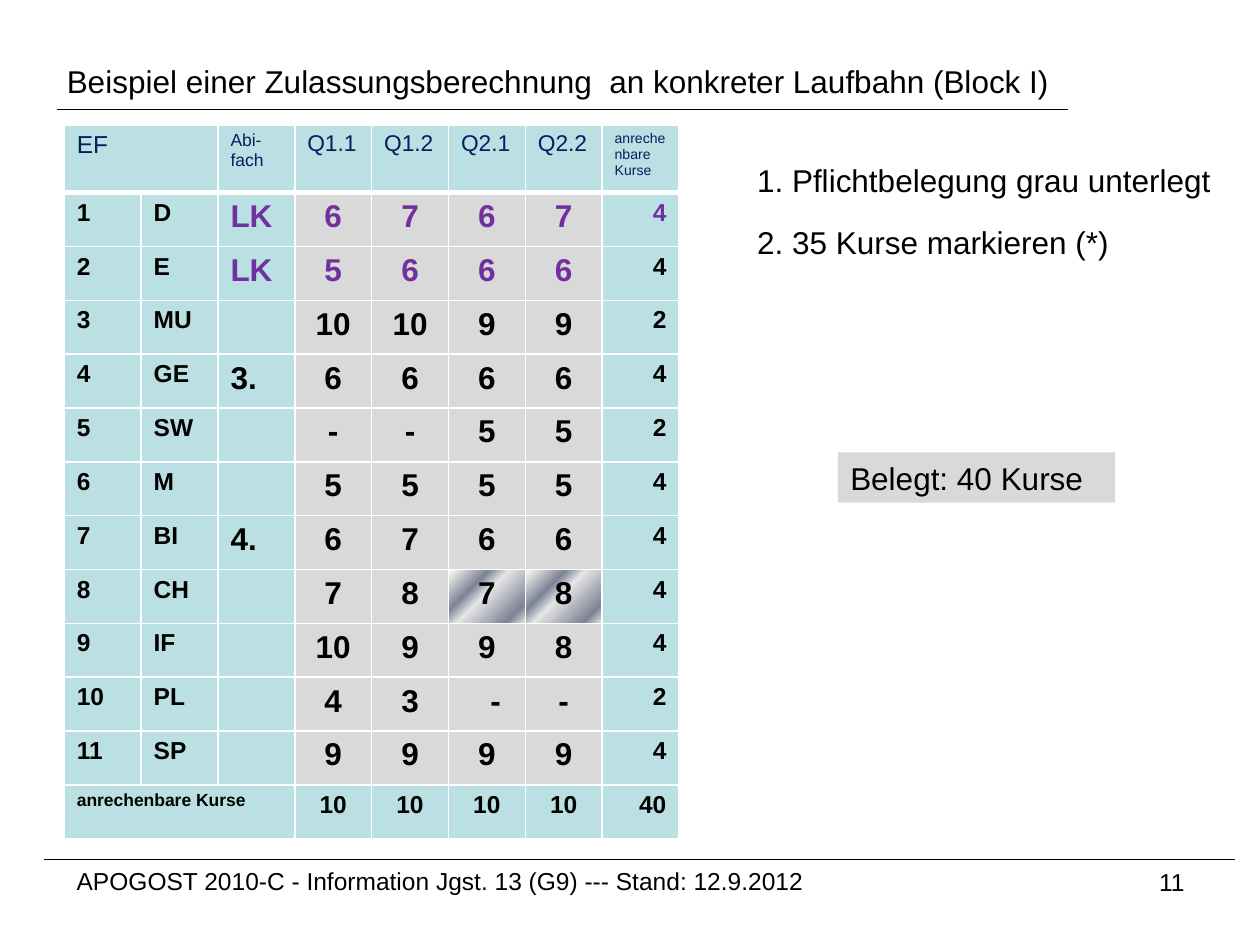
from lxml import etree
from pptx import Presentation
from pptx import util as u
from pptx.dml.color import RGBColor
from pptx.enum import shapes, text
from pptx.oxml import parse_xml
from pptx.oxml.ns import nsdecls, qn

BLACK, NAVY, PURPLE = "000000", "002060", "7030A0"
TEAL, GREY, WHITE = "BBE0E3", "D9D9D9", "FFFFFF"
LEFT, CENTER, RIGHT = text.PP_ALIGN.LEFT, text.PP_ALIGN.CENTER, text.PP_ALIGN.RIGHT


def color(hex_string):
    return RGBColor.from_string(hex_string)


def write(frame, words, size, hex_string=BLACK, align=LEFT, bold=False):
    paragraph = frame.paragraphs[0]
    paragraph.alignment = align
    run = paragraph.add_run()
    run.text = words
    run.font.name = "Arial"
    run.font.size = u.Pt(size)
    run.font.bold = bold
    run.font.color.rgb = color(hex_string)


presentation = Presentation()
presentation.slide_width, presentation.slide_height = u.Inches(10), u.Inches(7.5)
slide = presentation.slides.add_slide(presentation.slide_layouts[5])

# Title
title = slide.shapes.title
title.left, title.top = u.Inches(0.43), u.Inches(0.44)
title.width, title.height = u.Inches(8), u.Inches(0.4)
title.text_frame.word_wrap = False
title.text_frame.auto_size = text.MSO_AUTO_SIZE.NONE
title.text_frame.vertical_anchor = text.MSO_ANCHOR.TOP
write(title.text_frame,
      "Beispiel einer Zulassungsberechnung  an konkreter Laufbahn (Block I)", 18)

# Rules under the title and above the footer
for start, end, y in [(0.45, 8.48, 0.87), (0.35, 9.8, 6.82)]:
    rule = slide.shapes.add_connector(
        shapes.MSO_CONNECTOR.STRAIGHT,
        u.Inches(start), u.Inches(y), u.Inches(end), u.Inches(y))
    rule.line.color.rgb = color(BLACK)
    rule.line.width = u.Pt(0.75)
    etree.SubElement(rule._element.spPr, qn("a:effectLst"))

# Notes beside the table, footer and slide number
for words, left, top, width, height, size, align in [
    ("1. Pflichtbelegung grau unterlegt", 5.91, 1.23, 3.89, 0.4, 18, LEFT),
    ("2. 35 Kurse markieren (*)", 5.91, 1.72, 3.89, 0.4, 18, LEFT),
    ("APOGOST 2010-C - Information Jgst. 13 (G9) --- Stand: 12.9.2012",
     0.51, 6.82, 6.53, 0.52, 14, LEFT),
    ("11", 7.17, 6.83, 2.33, 0.52, 14, RIGHT),
]:
    box = slide.shapes.add_textbox(
        u.Inches(left), u.Inches(top), u.Inches(width), u.Inches(height))
    box.text_frame.word_wrap = True
    write(box.text_frame, words, size, align=align)

# Course total
total = slide.shapes.add_shape(
    shapes.MSO_SHAPE.RECTANGLE,
    u.Inches(6.65), u.Inches(3.59), u.Inches(2.2), u.Inches(0.4))
total.shadow.inherit = False
total.fill.solid()
total.fill.fore_color.rgb = color(GREY)
total.line.fill.background()
total.text_frame.vertical_anchor = text.MSO_ANCHOR.TOP
write(total.text_frame, "Belegt: 40 Kurse", 18)

# Table data: subject, exam subject, four half-years, countable courses
header = ["EF", "", "Abi-fach", "Q1.1", "Q1.2", "Q2.1", "Q2.2", "anrechenbare Kurse"]
header_sizes = [14, 14, 10, 13, 13, 13, 13, 8]
subjects = [
    ("D", "LK", "6", "7", "6", "7", "4"),
    ("E", "LK", "5", "6", "6", "6", "4"),
    ("MU", "", "10", "10", "9", "9", "2"),
    ("GE", "3.", "6", "6", "6", "6", "4"),
    ("SW", "", "-", "-", "5", "5", "2"),
    ("M", "", "5", "5", "5", "5", "4"),
    ("BI", "4.", "6", "7", "6", "6", "4"),
    ("CH", "", "7", "8", "7", "8", "4"),
    ("IF", "", "10", "9", "9", "8", "4"),
    ("PL", "", "4", "3", "-", "-", "2"),
    ("SP", "", "9", "9", "9", "9", "4"),
]
sums = ["anrechenbare Kurse", "", "", "10", "10", "10", "10", "40"]
rows = [header] + [[str(n), *entry] for n, entry in enumerate(subjects, 1)] + [sums]
last = len(rows) - 1
gradient_cells = [(8, 5), (8, 6)]
gradient_stops = [(0, "FFFFFF"), (7, "E6E6E6"), (32, "7D8496"),
                  (47, "E6E6E6"), (85, "7D8496"), (100, "E6E6E6")]

# Table grid
frame = slide.shapes.add_table(
    len(rows), len(header), u.Inches(0.51), u.Inches(0.99), u.Inches(4.88), u.Inches(5.67))
table = frame.table
table.first_row = table.horz_banding = False
for column in table.columns:
    column.width = u.Inches(0.61)
for r, row in enumerate(table.rows):
    row.height = u.Inches(0.54 if r == 0 else (5.67 - 0.54) / last)
table.cell(0, 0).merge(table.cell(0, 1))
table.cell(last, 0).merge(table.cell(last, 2))

# Table cells
for r, values in enumerate(rows):
    for c, value in enumerate(values):
        cell = table.cell(r, c)
        is_subject = 0 < r < last
        is_grade = is_subject and 3 <= c <= 6
        properties = cell._tc.get_or_add_tcPr()
        for side in "LRTB":
            points = 3 if r == 0 and side == "B" else 1
            properties.append(parse_xml(
                f'<a:ln{side} {nsdecls("a")} w="{u.Pt(points)}"><a:solidFill>'
                f'<a:srgbClr val="{WHITE}"/></a:solidFill></a:ln{side}>'))
        if (r, c) in gradient_cells:
            stops = "".join(
                f'<a:gs pos="{place * 1000}"><a:srgbClr val="{shade}"/></a:gs>'
                for place, shade in gradient_stops)
            properties.append(parse_xml(
                f'<a:gradFill {nsdecls("a")}><a:gsLst>{stops}</a:gsLst>'
                '<a:lin ang="2700000" scaled="0"/></a:gradFill>'))
        else:
            cell.fill.solid()
            cell.fill.fore_color.rgb = color(GREY if is_grade else TEAL)
        if not value:
            continue

        size, shade, align = 14, BLACK, LEFT
        if r == 0:
            size, shade = header_sizes[c], NAVY
        else:
            if c == 7:
                align = RIGHT
            elif c >= 3:
                align = CENTER
            if is_subject and 2 <= c <= 6:
                size = 18
                if r <= 2:
                    shade = PURPLE
            elif r == last and c == 0:
                size = 10
            if (r, c) == (1, 7):
                shade = PURPLE
        if (r, c) == (10, 5):
            cell.margin_left = u.Inches(0.24)
        write(cell.text_frame, value, size, shade, align, bold=r > 0)

presentation.save("out.pptx")
